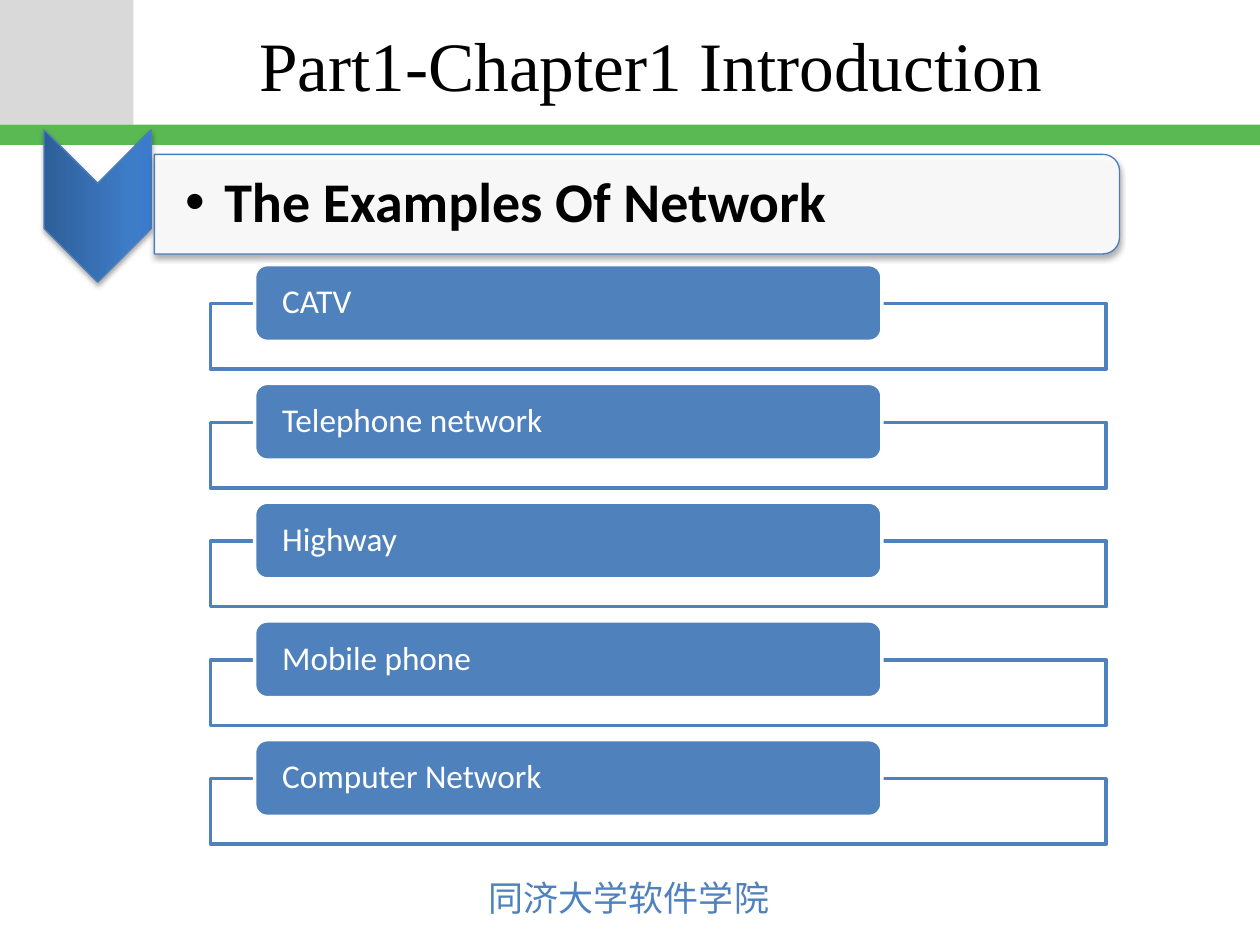
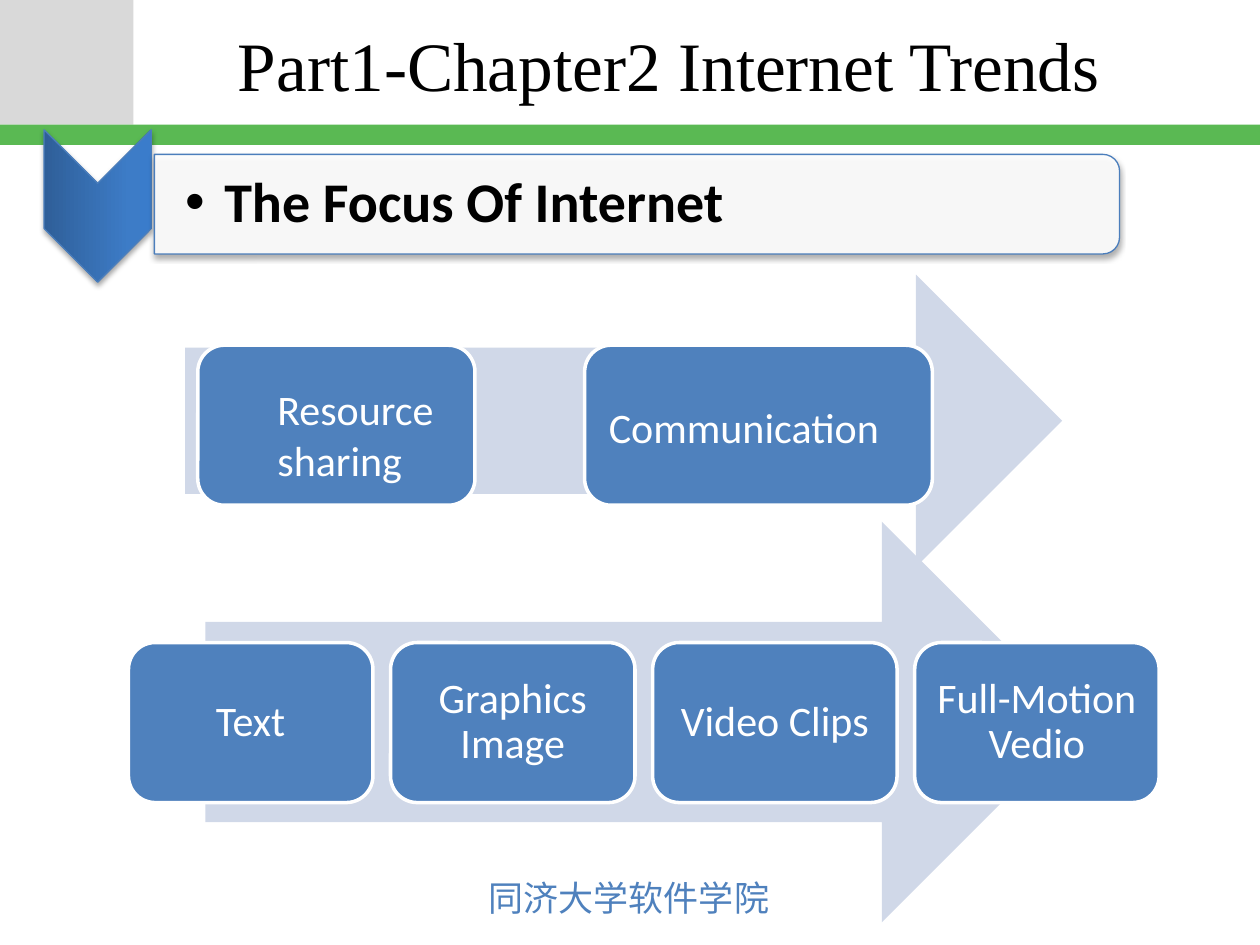
"""Builds two network-course slides: a list of examples and two arrows of topics."""
from lxml.etree import SubElement
from pptx import Presentation
from pptx.dml.color import RGBColor
from pptx.enum.shapes import MSO_SHAPE
from pptx.enum.text import MSO_ANCHOR, MSO_AUTO_SIZE, PP_ALIGN
from pptx.oxml import parse_xml
from pptx.oxml.ns import nsdecls, qn
from pptx.util import Inches, Pt

SCHOOL = "同济大学软件学院"
INTRODUCTION = {
    "title": "Part1-Chapter1 Introduction",
    "title_width": 6.85,
    "heading": "The Examples Of Network",
}
TRENDS = {
    "title": "Part1-Chapter2 Internet Trends",
    "title_width": 7.14,
    "heading": "The Focus Of Internet",
}
EXAMPLES = ["CATV", "Telephone network", "Highway", "Mobile phone", "Computer Network"]
MEDIA = ["Text", "Graphics Image", "Video Clips", "Full-Motion Vedio"]
PURPOSES = [
    ("Resource sharing", 1.57, 2.2, (0.57, 0.24, 0, 0.1)),
    ("Communication", 4.64, 2.76, (0.13, 0.12, 0.1, 0.1)),
]

BLUE, EDGE, WHITE, BLACK = "4F81BD", "4B7EBC", "FFFFFF", "000000"
GREY, GREEN, PALE = "D9D9D9", "5AB953", "D0D8E8"
CHEVRON_STOPS = [(0, "2F5F99"), (80, "3D7CC7"), (100, "3A7CCB")]

SLIDE_WIDTH, SLIDE_HEIGHT = 10, 7.5
BAND_TOP, BAND_HEIGHT = 0.99, 0.16
EXAMPLE_TOP, EXAMPLE_PITCH = 2.1, 3.77 / 4
MEDIA_LEFT, MEDIA_PITCH = 1.02, 2.08
CARD_HEIGHT = 1.27


def color(code):
    return RGBColor.from_string(code)


def place(part, left, top, width, height):
    part.left, part.top = Inches(left), Inches(top)
    part.width, part.height = Inches(width), Inches(height)


def add_block(slide, kind, box, fill=None, line=None, weight=2.0, alpha=None):
    block = slide.shapes.add_shape(kind, *map(Inches, box))
    block.shadow.inherit = False
    if fill:
        block.fill.solid()
        block.fill.fore_color.rgb = color(fill)
    if alpha:
        tint = block.element.spPr.find(qn("a:solidFill"))[0]
        SubElement(tint, qn("a:alpha"), val=str(alpha * 1000))
    if line:
        block.line.color.rgb = color(line)
        block.line.width = Pt(weight)
    else:
        block.line.fill.background()
    return block


def write(frame, text, size, font, shade, align=PP_ALIGN.LEFT, spacing=1.0,
          insets=(0.1, 0.05, 0.1, 0.05), bold=False):
    frame.word_wrap = True
    frame.auto_size = MSO_AUTO_SIZE.NONE
    frame.vertical_anchor = MSO_ANCHOR.MIDDLE
    (frame.margin_left, frame.margin_top,
     frame.margin_right, frame.margin_bottom) = map(Inches, insets)
    paragraph = frame.paragraphs[0]
    paragraph.alignment = align
    paragraph.line_spacing = spacing
    paragraph.space_before = Pt(0)
    run = paragraph.add_run()
    run.text = text
    run.font.size, run.font.name, run.font.bold = Pt(size), font, bold
    run.font.color.rgb = color(shade)
    return paragraph


def cast_shadow(block):
    effects = block.element.spPr.find(qn("a:effectLst"))
    shadow = SubElement(effects, qn("a:outerShdw"), blurRad=str(Pt(3.1)),
                        dist=str(Pt(1.8)), dir="5400000", rotWithShape="0")
    tint = SubElement(shadow, qn("a:srgbClr"), val=BLACK)
    SubElement(tint, qn("a:alpha"), val="35000")


def shade_chevron(chevron):
    stops = "".join(f'<a:gs pos="{share * 1000}"><a:srgbClr val="{code}"/></a:gs>'
                    for share, code in CHEVRON_STOPS)
    gradient = parse_xml(f'<a:gradFill {nsdecls("a")} rotWithShape="1"><a:gsLst>{stops}'
                         '</a:gsLst><a:lin ang="16200000" scaled="0"/></a:gradFill>')
    properties = chevron.element.spPr
    properties.replace(properties.find(qn("a:solidFill")), gradient)


def furnish_layout(layout, slide):
    for placeholder in list(layout.placeholders)[2:]:
        layout.shapes.element.remove(placeholder.element)
    corner = add_block(slide, MSO_SHAPE.RECTANGLE, (0, 0, 1.06, BAND_TOP), GREY)
    band = add_block(slide, MSO_SHAPE.RECTANGLE,
                     (0, BAND_TOP, SLIDE_WIDTH, BAND_HEIGHT), GREEN)
    school = slide.shapes.add_textbox(*map(Inches, (3.78, 6.9, 2.45, 0.44)))
    write(school.text_frame, SCHOOL, 20, "Noto Sans CJK JP", BLUE)
    school.text_frame.word_wrap = False
    properties = school.text_frame.paragraphs[0].runs[0].font._element
    SubElement(properties, qn("a:ea"), typeface="Noto Sans CJK JP")
    chevron = add_block(slide, MSO_SHAPE.CHEVRON, (0.17, 1.21, 1.21, 0.85),
                        CHEVRON_STOPS[0][1], EDGE, 0.75)
    shade_chevron(chevron)
    bar = add_block(slide, MSO_SHAPE.ROUND_2_SAME_RECTANGLE, (4.66, -2.21, 0.79, 7.66),
                    WHITE, EDGE, 0.75, alpha=90)
    for marker in (chevron, bar):
        marker.rotation = 90
        cast_shadow(marker)
    for part in (corner, band, school, chevron, bar):
        layout.shapes.element.append(part.element)


def fill_headings(slide, chapter):
    title, heading = slide.placeholders
    place(title, 1.74, 0.02, chapter["title_width"], 0.98)
    write(title.text_frame, chapter["title"], 39.6, "Times New Roman", BLACK,
          PP_ALIGN.CENTER)
    place(heading, 1.22, 1.27, 7.63, 0.71)
    bullet = write(heading.text_frame, chapter["heading"], 32, "Calibri", BLACK,
                   spacing=0.9, insets=(0.25, 0.02, 0.02, 0.02), bold=True)
    properties = bullet._p.get_or_add_pPr()
    properties.set("marL", str(Inches(0.31)))
    properties.set("indent", str(Inches(-0.31)))
    SubElement(properties, qn("a:buChar"), char="•")


def add_card(slide, box, text, size, **style):
    card = add_block(slide, MSO_SHAPE.ROUNDED_RECTANGLE, box, BLUE, WHITE)
    write(card.text_frame, text, size, "Calibri", WHITE, **style)


def add_examples(slide):
    for row, example in enumerate(EXAMPLES):
        top = EXAMPLE_TOP + row * EXAMPLE_PITCH
        add_block(slide, MSO_SHAPE.RECTANGLE, (1.67, top + 0.31, 7.11, 0.52),
                  WHITE, BLUE, alpha=90)
        add_card(slide, (2.02, top, 4.98, 0.61), example, 19,
                 spacing=0.9, insets=(0.19, 0, 0.19, 0))


def add_focus(slide):
    add_block(slide, MSO_SHAPE.RIGHT_ARROW, (1.63, 4.14, 6.96, 3.18), PALE)
    for column, medium in enumerate(MEDIA):
        left = MEDIA_LEFT + column * MEDIA_PITCH
        add_card(slide, (left, 5.1, 1.94, CARD_HEIGHT), medium, 24,
                 align=PP_ALIGN.CENTER, spacing=0.9, insets=(0.1,) * 4)
    add_block(slide, MSO_SHAPE.RIGHT_ARROW, (1.47, 2.18, 6.96, 2.32), PALE)
    for purpose, left, width, insets in PURPOSES:
        add_card(slide, (left, 2.74, width, CARD_HEIGHT), purpose, 24, insets=insets)


def main():
    deck = Presentation()
    deck.slide_width, deck.slide_height = Inches(SLIDE_WIDTH), Inches(SLIDE_HEIGHT)
    layout = deck.slide_layouts[1]
    introduction, trends = (deck.slides.add_slide(layout) for _ in range(2))
    furnish_layout(layout, introduction)
    fill_headings(introduction, INTRODUCTION)
    add_examples(introduction)
    fill_headings(trends, TRENDS)
    add_focus(trends)
    deck.save("out.pptx")


if __name__ == "__main__":
    main()
